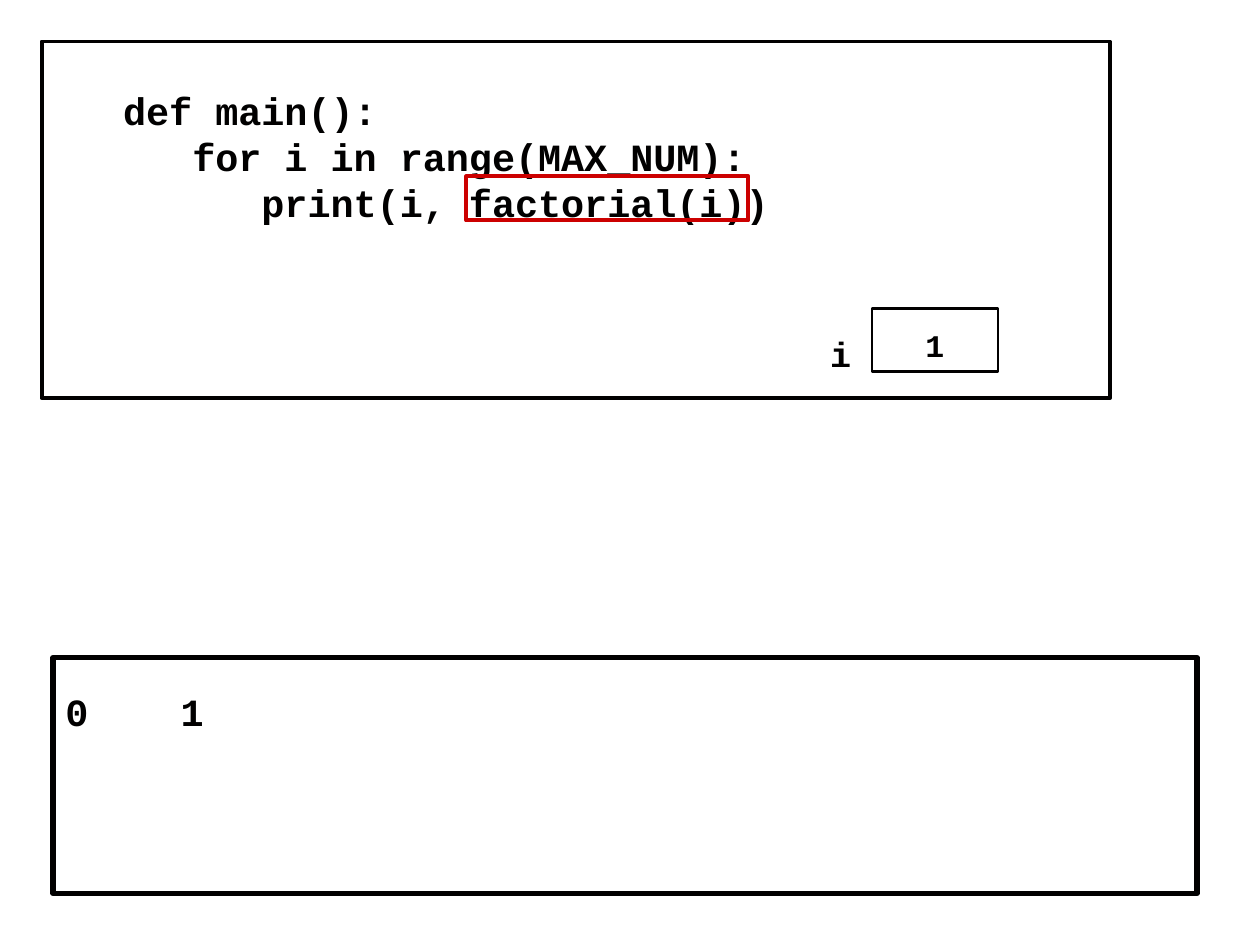
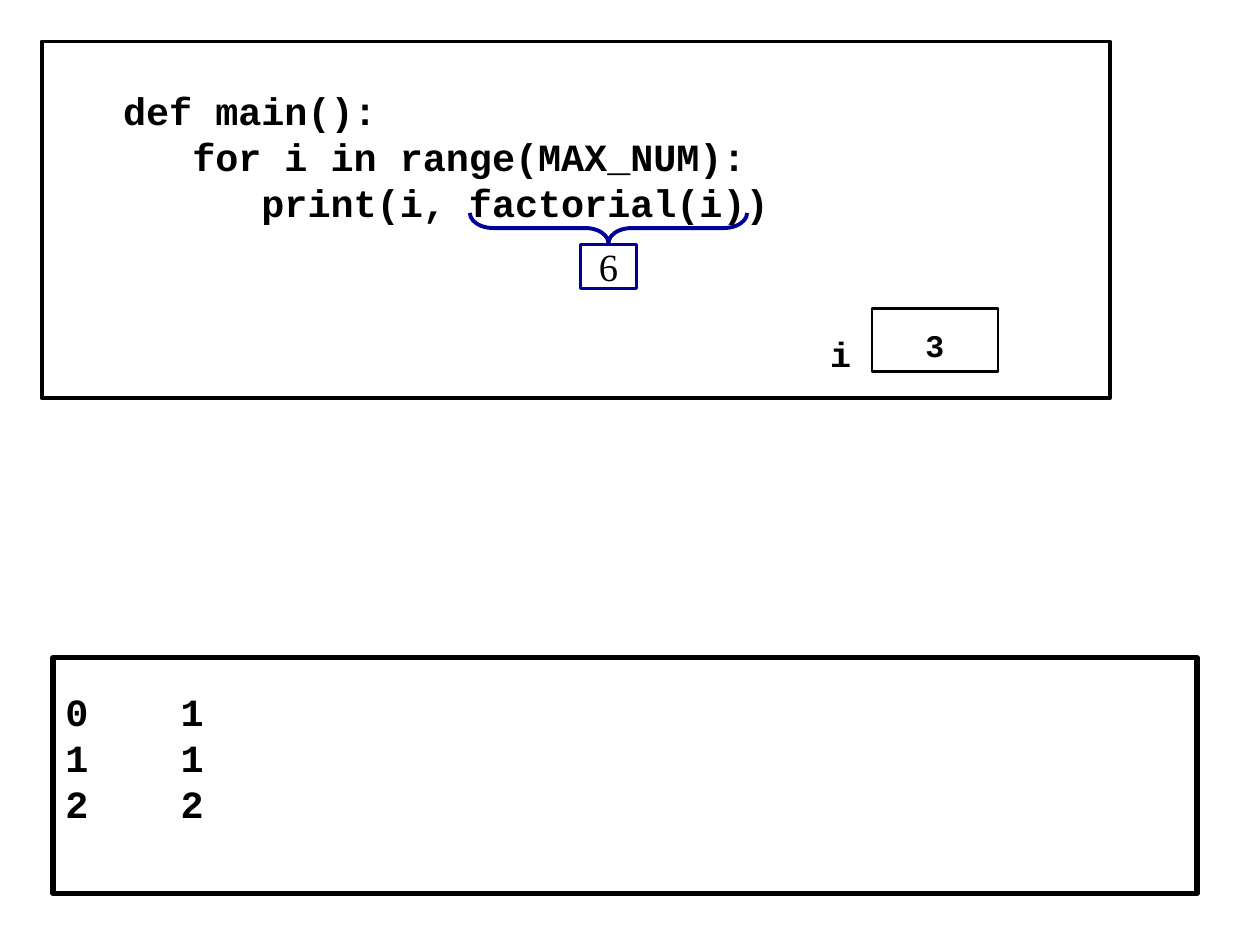
from lxml import etree
from pptx import Presentation
from pptx.dml.color import RGBColor
from pptx.enum import shapes, text
from pptx.oxml import ns
from pptx import util as u

COLUMNS, ROWS = 100, 75
CELL = u.Inches(0.1)
INK, PAPER, CALL_RED, RESULT_BLUE = "010000", "FFFFFF", "CC0000", "000099"
CODE_FONT, RESULT_FONT = "Courier New", "Times New Roman"
LINE_PITCH = 26.3
SOURCE = [
    "   def main():",
    "      for i in range(MAX_NUM):",
    "         print(i, factorial(i))",
]


def colour(value):
    """Turn a hex string into a colour."""
    return RGBColor.from_string(value)


def cells(*counts):
    """Turn counts of grid cells into lengths."""
    return [round(count * CELL) for count in counts]


def outline(slide, place, line, weight, fill=None, kind=shapes.MSO_SHAPE.RECTANGLE):
    """Draw an outlined shape at a place on the grid."""
    frame = slide.shapes.add_shape(kind, *cells(*place))
    frame.shadow.inherit = False
    frame.line.color.rgb = colour(line)
    frame.line.width = u.Pt(weight)
    if fill:
        frame.fill.solid()
        frame.fill.fore_color.rgb = colour(fill)
    else:
        frame.fill.background()
    return frame


def write(frame, lines, size, top, font=CODE_FONT, bold=True, centred=False, pitch=None, tab=None):
    """Set lines of text in a frame, with its top inset in grid cells."""
    body = frame.text_frame
    body.text = "\n".join(lines)
    body.word_wrap = True
    body.margin_top = cells(top)[0]
    body.vertical_anchor = text.MSO_ANCHOR.MIDDLE if centred else text.MSO_ANCHOR.TOP
    for paragraph in body.paragraphs:
        paragraph.alignment = text.PP_ALIGN.CENTER if centred else text.PP_ALIGN.LEFT
        if pitch:
            paragraph.line_spacing = u.Pt(pitch)
        if tab:
            stops = etree.SubElement(paragraph._p.get_or_add_pPr(), ns.qn("a:tabLst"))
            etree.SubElement(stops, ns.qn("a:tab"), pos=str(cells(tab)[0]), algn="l")
        for run in paragraph.runs:
            run.font.name = font
            run.font.size = u.Pt(size)
            run.font.bold = bold
            run.font.color.rgb = colour(INK)


def program(slide, i):
    """Show the main function and the current value of its variable."""
    write(outline(slide, (3.3, 3.3, 84.8, 28.3), INK, 2.25, PAPER), SOURCE, 22, 3.6,
          pitch=LINE_PITCH)
    write(outline(slide, (69.2, 24.5, 10, 5), INK, 1.5, PAPER), [str(i)], 18, 1.3, centred=True)
    write(slide.shapes.add_textbox(*cells(64.9, 25.3, 5, 4.3)), ["i"], 20, 1.1)


def pending_call(slide):
    """Mark the call that is about to run."""
    outline(slide, (37, 14, 22.4, 3.5), CALL_RED, 2.25)


def returned(slide, result):
    """Brace the finished call and show its result."""
    brace = outline(slide, (47.1, 7.1, 2.4, 22), RESULT_BLUE, 2.25,
                    kind=shapes.MSO_SHAPE.LEFT_BRACE)
    brace.rotation = 270
    brace.adjustments[0] = 0.77
    write(outline(slide, (46.1, 19.4, 4.4, 3.5), RESULT_BLUE, 1.5), [str(result)], 22, 0.4,
          RESULT_FONT, bold=False, centred=True)


def console(slide, factorials):
    """List the printed numbers with their factorials."""
    printed = [f"{number}\t{value}" for number, value in enumerate(factorials)]
    write(outline(slide, (4.2, 52.2, 90.8, 18.7), INK, 3), printed, 22, 2.4,
          pitch=LINE_PITCH, tab=9.15)


def main():
    """Build both steps of the trace."""
    deck = Presentation()
    deck.slide_width, deck.slide_height = cells(COLUMNS, ROWS)
    blank = deck.slide_layouts[6]

    calling = deck.slides.add_slide(blank)
    program(calling, 1)
    pending_call(calling)
    console(calling, [1])

    returning = deck.slides.add_slide(blank)
    program(returning, 3)
    returned(returning, 6)
    console(returning, [1, 1, 2])

    deck.save("out.pptx")


if __name__ == "__main__":
    main()
